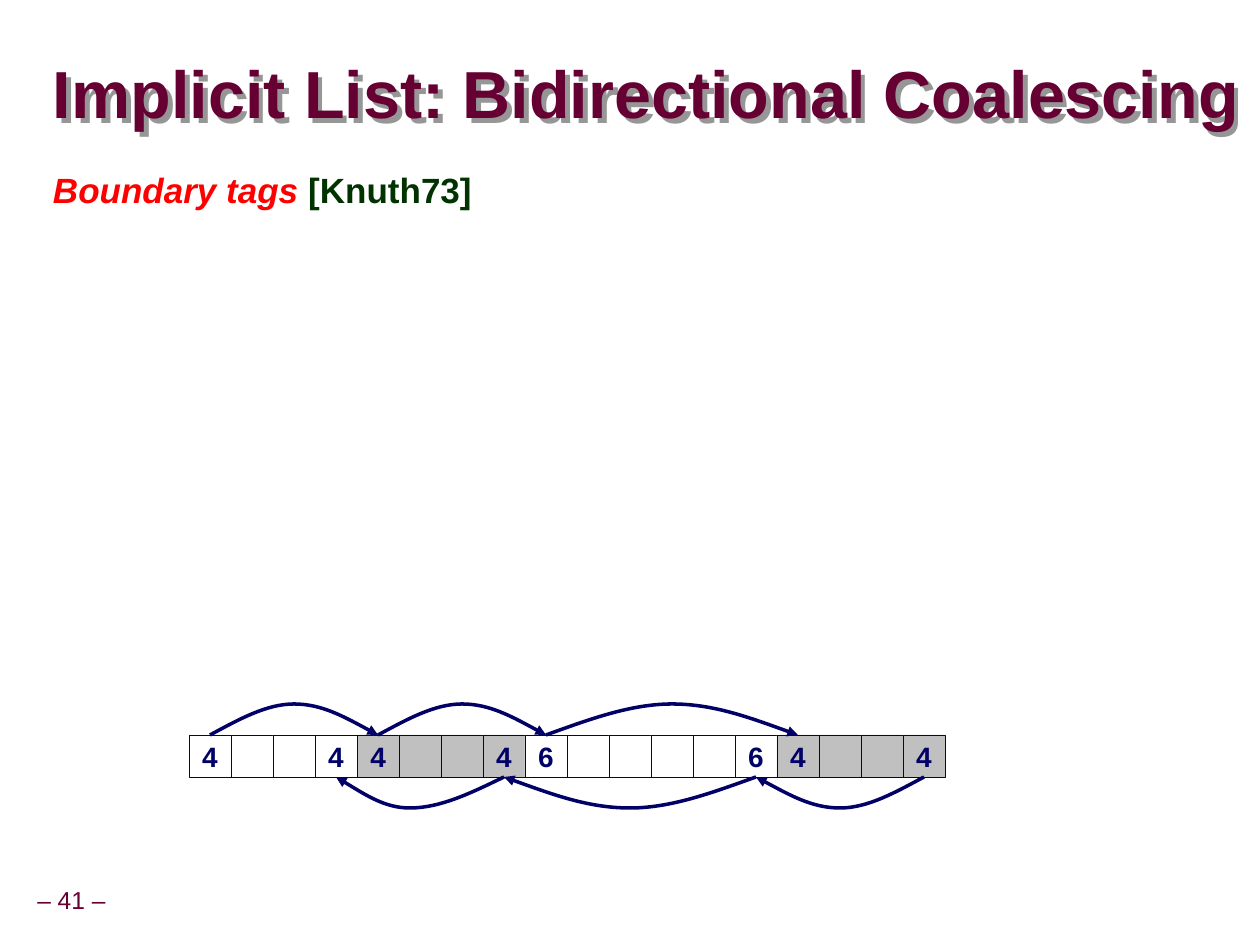
from lxml.etree import SubElement
from pptx import Presentation
from pptx.dml.color import RGBColor
from pptx.enum.shapes import MSO_SHAPE
from pptx.enum.text import MSO_ANCHOR, MSO_AUTO_SIZE, PP_ALIGN
from pptx.oxml.ns import qn
from pptx.util import Pt

PX = 914400 // 126
COLORS = {
    "wine": "660033", "red": "FF0000", "green": "003300", "navy": "000066",
    "white": "FFFFFF", "gray": "C0C0C0", "shade": "969696",
}
LEFT, TOP, CELL, RISE = 189, 735, 42, 31
# Size of each block in cells, and its fill
BLOCKS = [(4, "white"), (4, "gray"), (6, "white"), (4, "gray")]


def rgb(name):
    """Return the named colour."""
    return RGBColor.from_string(COLORS[name])


def place(shape, left, top, width, height):
    """Move and size a shape in pixels."""
    shape.left, shape.top = left * PX, top * PX
    shape.width, shape.height = width * PX, height * PX


def style(font, size, color, bold=True):
    """Set the look of a font."""
    font.name, font.size, font.bold = "Arial", Pt(size), bold
    font.color.rgb = rgb(color)


def frame(shape, anchor, side, edge, wrap=True):
    """Set up a text frame and return its first paragraph."""
    text = shape.text_frame
    text.auto_size, text.word_wrap = MSO_AUTO_SIZE.NONE, wrap
    text.vertical_anchor = anchor
    text.margin_left = text.margin_right = side * PX
    text.margin_top = text.margin_bottom = edge * PX
    return text.paragraphs[0]


def add_shade(shape):
    """Give an unfilled shape's text a hard shadow."""
    effects = SubElement(shape.element.spPr, qn("a:effectLst"))
    shade = SubElement(effects, qn("a:outerShdw"), dist=str(7 * PX),
                       dir="2700000", algn="ctr", rotWithShape="0")
    SubElement(shade, qn("a:srgbClr"), val=COLORS["shade"])


def add_title(slide, words):
    """Fill the title placeholder."""
    title = slide.shapes.title
    place(title, 53, 58, 1207, 79)
    para = frame(title, MSO_ANCHOR.MIDDLE, 0, 0)
    para.text, para.alignment, para.line_spacing = words, PP_ALIGN.LEFT, 0.87
    style(para.font, 38, "wine")
    title.fill.background()
    add_shade(title)


def add_body(slide, term, source):
    """Fill the body placeholder with a term and its source."""
    body = slide.placeholders[1]
    place(body, 40, 169, 1145, 178)
    para = frame(body, MSO_ANCHOR.TOP, 13, 6)
    para.line_spacing, para.space_before = 0.85, Pt(12.5)
    props = para._p.get_or_add_pPr()
    props.set("marL", str(53 * PX))
    props.set("indent", str(-53 * PX))
    SubElement(props, qn("a:buNone"))
    for words, color, slant in ((term, "red", True), (source, "green", False)):
        run = para.add_run()
        run.text, run.font.italic = words, slant
        style(run.font, 20, color)


def add_page(slide, words):
    """Add the page number."""
    box = slide.shapes.add_textbox(-11 * PX, 882 * PX, 165 * PX, 39 * PX)
    para = frame(box, MSO_ANCHOR.MIDDLE, 6, 6, False)
    para.text, para.alignment, para.line_spacing = words, PP_ALIGN.CENTER, 0.9
    style(para.font, 14, "wine", False)


def add_cell(slide, index, fill, words):
    """Add one word of the heap."""
    cell = slide.shapes.add_shape(MSO_SHAPE.RECTANGLE, (LEFT + index * CELL) * PX,
                                  TOP * PX, CELL * PX, CELL * PX)
    cell.shadow.inherit = False
    cell.fill.solid()
    cell.fill.fore_color.rgb = rgb(fill)
    cell.line.color.rgb, cell.line.width = rgb("navy"), Pt(0.26)
    if words:
        para = frame(cell, MSO_ANCHOR.MIDDLE, 13, 6, False)
        para.text, para.alignment = words, PP_ALIGN.CENTER
        style(para.font, 16, "navy")


def add_arc(slide, first, last, base, rise, shift=0):
    """Add a curved arrow between the middles of two cells."""
    start, end = (LEFT + CELL * i + CELL // 2 for i in (first, last))
    peak = (start + end) / 2 + shift
    stops = [(start + (peak - start) * i / 3, base + rise * h)
             for i, h in ((1, 0.5), (2, 1), (3, 1))]
    stops += [(peak + (end - peak) * i / 3, base + rise * h)
              for i, h in ((1, 1), (2, 0.5), (3, 0))]
    form = slide.shapes.build_freeform(start, base, scale=PX)
    form.add_line_segments(stops, close=False)
    arc = form.convert_to_shape()
    arc.shadow.inherit = False
    arc.fill.background()
    arc.line.color.rgb, arc.line.width = rgb("navy"), Pt(2)
    SubElement(arc.line._get_or_add_ln(), qn("a:tailEnd"), type="triangle")
    # Each three straight segments become one cubic curve
    lines = list(arc.element.iter(qn("a:lnTo")))
    track = lines[0].getparent()
    for i in range(0, len(lines), 3):
        curve = SubElement(track, qn("a:cubicBezTo"))
        for line in lines[i:i + 3]:
            curve.append(line[0])
            track.remove(line)


def add_heap(slide):
    """Add the blocks with their tags and the arrows that link them."""
    heads, tails, index = [], [], 0
    for size, fill in BLOCKS:
        heads.append(index)
        tails.append(index + size - 1)
        for i in range(size):
            add_cell(slide, index + i, fill, str(size) if i in (0, size - 1) else "")
        index += size
    for first, last in zip(heads, heads[1:]):
        add_arc(slide, first, last, TOP, -RISE)
    for last, first, shift in zip(tails, tails[1:], (-10, 0, 0)):
        add_arc(slide, first, last, TOP + CELL, RISE, shift)


def main():
    """Build and save the slide."""
    deck = Presentation()
    deck.slide_width, deck.slide_height = 1260 * PX, 945 * PX
    slide = deck.slides.add_slide(deck.slide_layouts[1])
    add_page(slide, "– 41 –")
    add_title(slide, "Implicit List: Bidirectional Coalescing")
    add_body(slide, "Boundary tags", " [Knuth73]")
    add_heap(slide)
    deck.save("out.pptx")


main()
